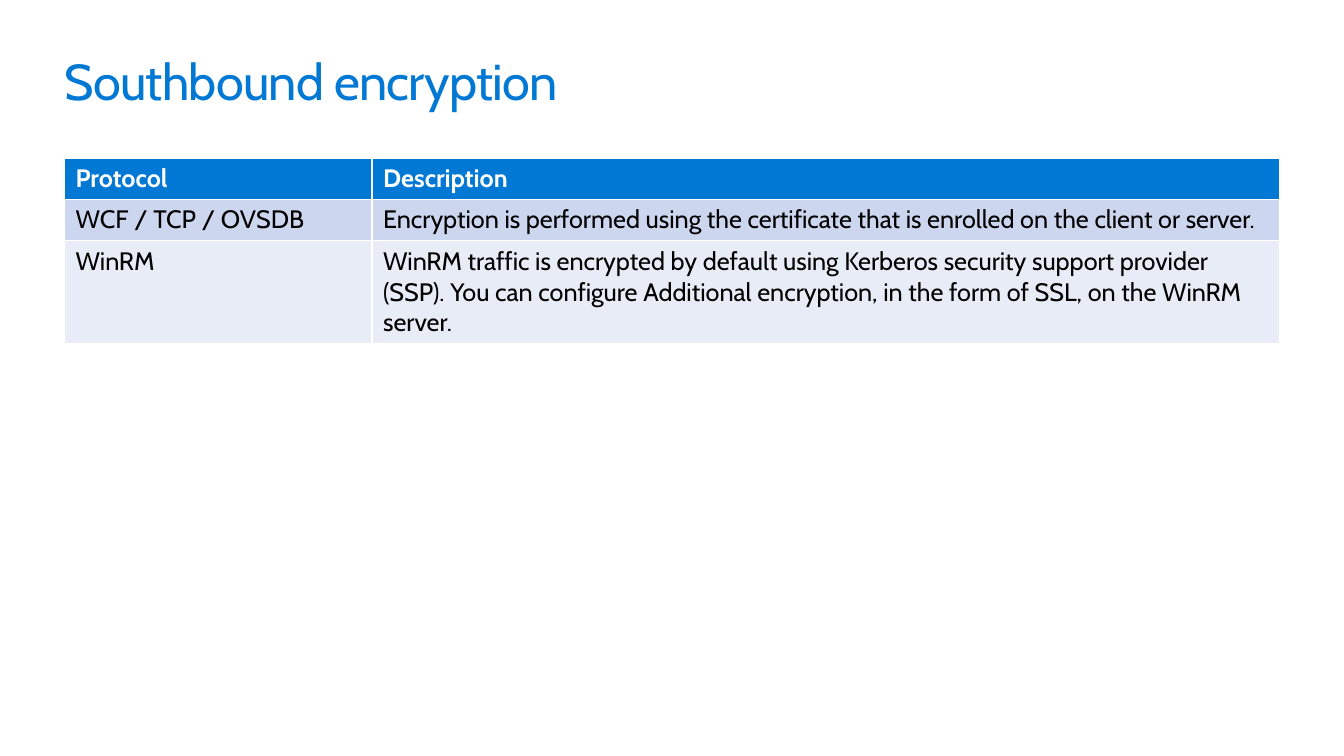
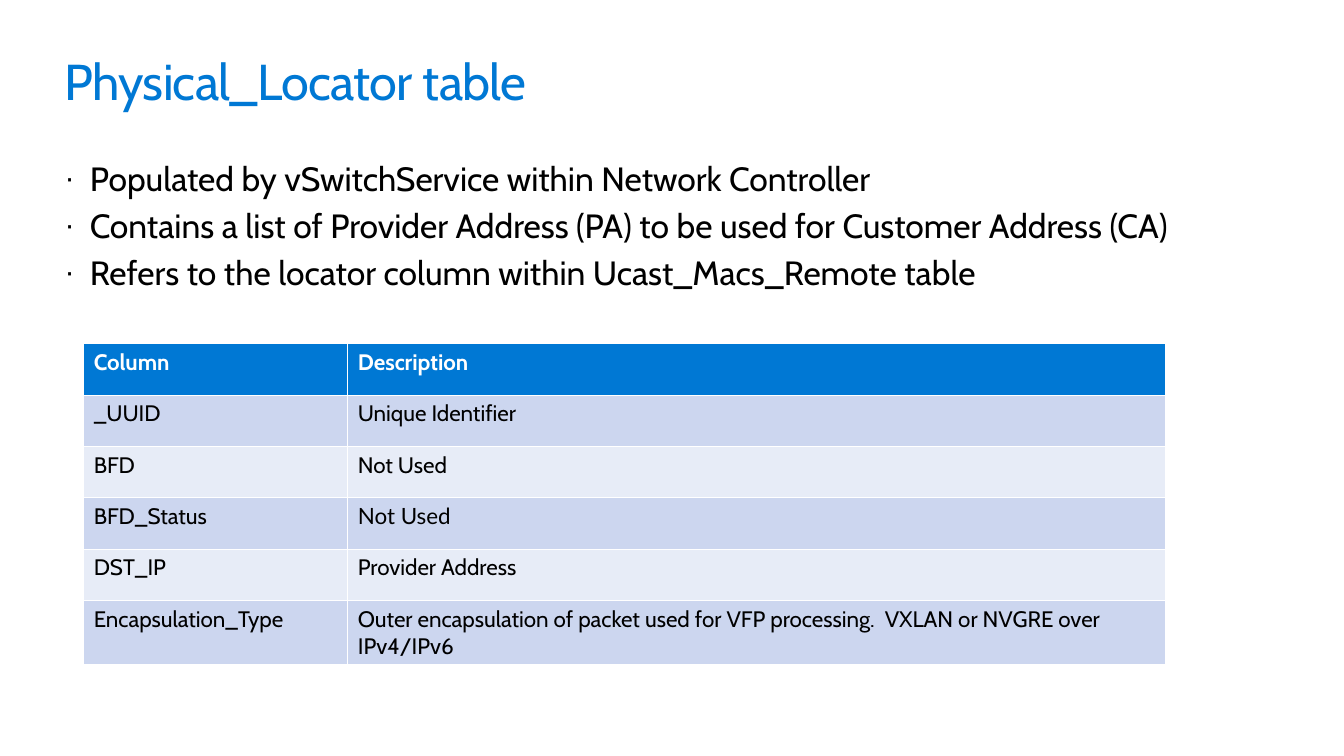
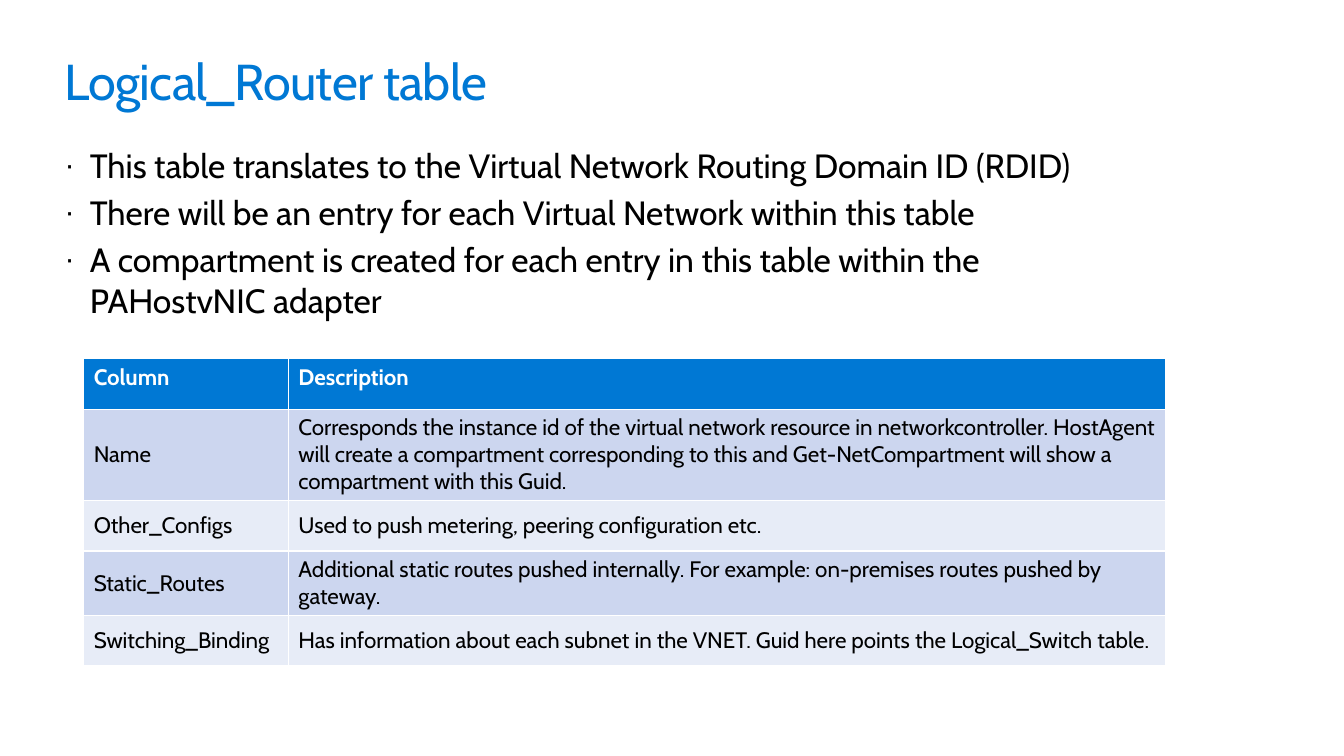
from lxml.etree import SubElement
from pptx import Presentation
from pptx.dml.color import RGBColor
from pptx.enum.text import MSO_ANCHOR, MSO_AUTO_SIZE, PP_ALIGN
from pptx.oxml.ns import qn
from pptx.util import Inches, Pt

BLUE = RGBColor(0x00, 0x78, 0xD4)
WHITE = RGBColor(0xFF, 0xFF, 0xFF)
BLACK = RGBColor(0x00, 0x00, 0x00)
BAND_DARK = RGBColor(0xCC, 0xD6, 0xEF)
BAND_LIGHT = RGBColor(0xE7, 0xEC, 0xF7)
MAIN_FONT = "Cabin"
ACCENT_FONT = "Lato"
LEFT = 0.64
FULL_WIDTH = 12.05
TITLE_ONLY = 5
TITLE_AND_CONTENT = 1

SLIDES = [
    {
        "title": "Southbound encryption",
        "bullets": [],
        "table_at": (LEFT, 1.57),
        "columns": (3.05, 9),
        "row_height": 0.41,
        "size": 18,
        "side_margin": 0.11,
        "anchor": MSO_ANCHOR.TOP,
        "rows": [
            ("Protocol", "Description"),
            ("WCF / TCP / OVSDB", "Encryption is performed using the certificate that is enrolled on the client or server."),
            ("WinRM", "WinRM traffic is encrypted by default using Kerberos security support provider (SSP). "
                      "You can configure Additional encryption, in the form of SSL, on the WinRM server."),
        ],
    },
    {
        "title": "Physical_Locator table",
        "bullets": [
            "Populated by vSwitchService within Network Controller",
            "Contains a list of Provider Address (PA) to be used for Customer Address (CA)",
            "Refers to the locator column within Ucast_Macs_Remote table",
        ],
        "body_at": (LEFT, 1.57, FULL_WIDTH, 1.37),
        "table_at": (0.83, 3.41),
        "columns": (2.62, 8.11),
        "row_height": 0.51,
        "size": 16,
        "side_margin": 0.1,
        "anchor": MSO_ANCHOR.TOP,
        "accent_cell": (3, 1),
        "rows": [
            ("Column", "Description"),
            ("_UUID", "Unique Identifier"),
            ("BFD", "Not Used"),
            ("BFD_Status", "Not Used"),
            ("DST_IP", "Provider Address"),
            ("Encapsulation_Type", "Outer encapsulation of packet used for VFP processing.  VXLAN or NVGRE over IPv4/IPv6"),
        ],
    },
    {
        "title": "Logical_Router table",
        "bullets": [
            "This table translates to the Virtual Network Routing Domain ID (RDID)",
            "There will be an entry for each Virtual Network within this table",
            "A compartment is created for each entry in this table within the PAHostvNIC adapter",
        ],
        "body_at": (LEFT, 1.44, 10.73, 1.78),
        "table_at": (0.83, 3.56),
        "columns": (2.03, 8.7),
        "row_height": 0.5,
        "size": 16,
        "side_margin": 0.1,
        "anchor": MSO_ANCHOR.MIDDLE,
        "rows": [
            ("Column", "Description"),
            ("Name", "Corresponds the instance id of the virtual network resource in networkcontroller. "
                     "HostAgent will create a compartment corresponding to this and Get-NetCompartment "
                     "will show a compartment with this Guid."),
            ("Other_Configs", "Used to push metering, peering configuration etc."),
            ("Static_Routes", "Additional static routes pushed internally. For example: on-premises routes pushed by gateway."),
            ("Switching_Binding", "Has information about each subnet in the VNET. Guid here points the Logical_Switch table."),
        ],
    },
]


def write_text(paragraph, text, *, size, color=BLACK, bold=False, font=MAIN_FONT):
    paragraph.alignment = PP_ALIGN.LEFT
    run = paragraph.add_run()
    run.text = text
    run.font.size = Pt(size)
    run.font.name = font
    run.font.bold = bold
    run.font.color.rgb = color
    return run


def place_text_frame(shape, left, top, width, height):
    shape.left, shape.top = Inches(left), Inches(top)
    shape.width, shape.height = Inches(width), Inches(height)
    frame = shape.text_frame
    frame.margin_left = frame.margin_top = frame.margin_right = frame.margin_bottom = 0
    frame.word_wrap = True
    frame.auto_size = MSO_AUTO_SIZE.NONE
    frame.vertical_anchor = MSO_ANCHOR.TOP
    return frame


presentation = Presentation()
presentation.slide_width = Inches(13.33)
presentation.slide_height = Inches(7.5)

for content in SLIDES:
    layout = TITLE_AND_CONTENT if content["bullets"] else TITLE_ONLY
    slide = presentation.slides.add_slide(presentation.slide_layouts[layout])

    title_frame = place_text_frame(slide.shapes.title, LEFT, 0.5, FULL_WIDTH, 0.61)
    title_run = write_text(title_frame.paragraphs[0], content["title"], size=36, color=BLUE)
    title_run.font._element.set("spc", "-50")

    if content["bullets"]:
        body_frame = place_text_frame(slide.placeholders[1], *content["body_at"])
        for index, text in enumerate(content["bullets"]):
            paragraph = body_frame.add_paragraph() if index else body_frame.paragraphs[0]
            paragraph.space_before = Pt(4.8 if index else 0)
            properties = paragraph._p.get_or_add_pPr()
            properties.set("marL", str(Inches(0.25)))
            properties.set("indent", str(Inches(-0.25)))
            SubElement(properties, qn("a:buSzPct"), val="90000")
            SubElement(properties, qn("a:buFont"), typeface="Arial")
            SubElement(properties, qn("a:buChar"), char="·")
            write_text(paragraph, text, size=24)

    rows = content["rows"]
    left, top = content["table_at"]
    table = slide.shapes.add_table(
        len(rows), 2, Inches(left), Inches(top),
        Inches(sum(content["columns"])), Inches(content["row_height"] * len(rows)),
    ).table
    for column, width in zip(table.columns, content["columns"]):
        column.width = Inches(width)
    for row_index, texts in enumerate(rows):
        header = row_index == 0
        band = BAND_DARK if row_index % 2 else BAND_LIGHT
        for column_index, text in enumerate(texts):
            cell = table.cell(row_index, column_index)
            cell.fill.solid()
            cell.fill.fore_color.rgb = BLUE if header else band
            cell.margin_left = cell.margin_right = Inches(content["side_margin"])
            cell.margin_top = cell.margin_bottom = Inches(0.05)
            cell.vertical_anchor = MSO_ANCHOR.TOP if header else content["anchor"]
            accent = content.get("accent_cell") == (row_index, column_index)
            write_text(
                cell.text_frame.paragraphs[0], text, size=content["size"], bold=header,
                color=WHITE if header else BLACK, font=ACCENT_FONT if accent else MAIN_FONT,
            )

presentation.save("out.pptx")
